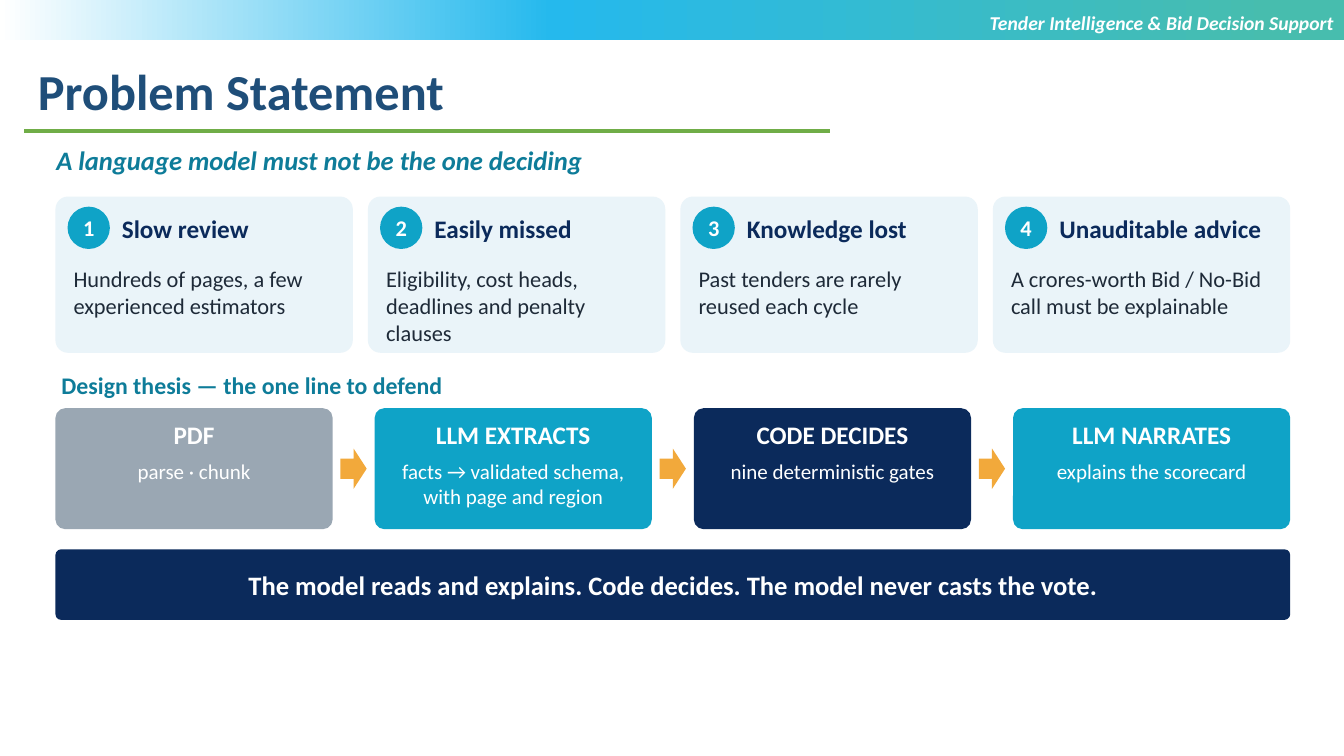
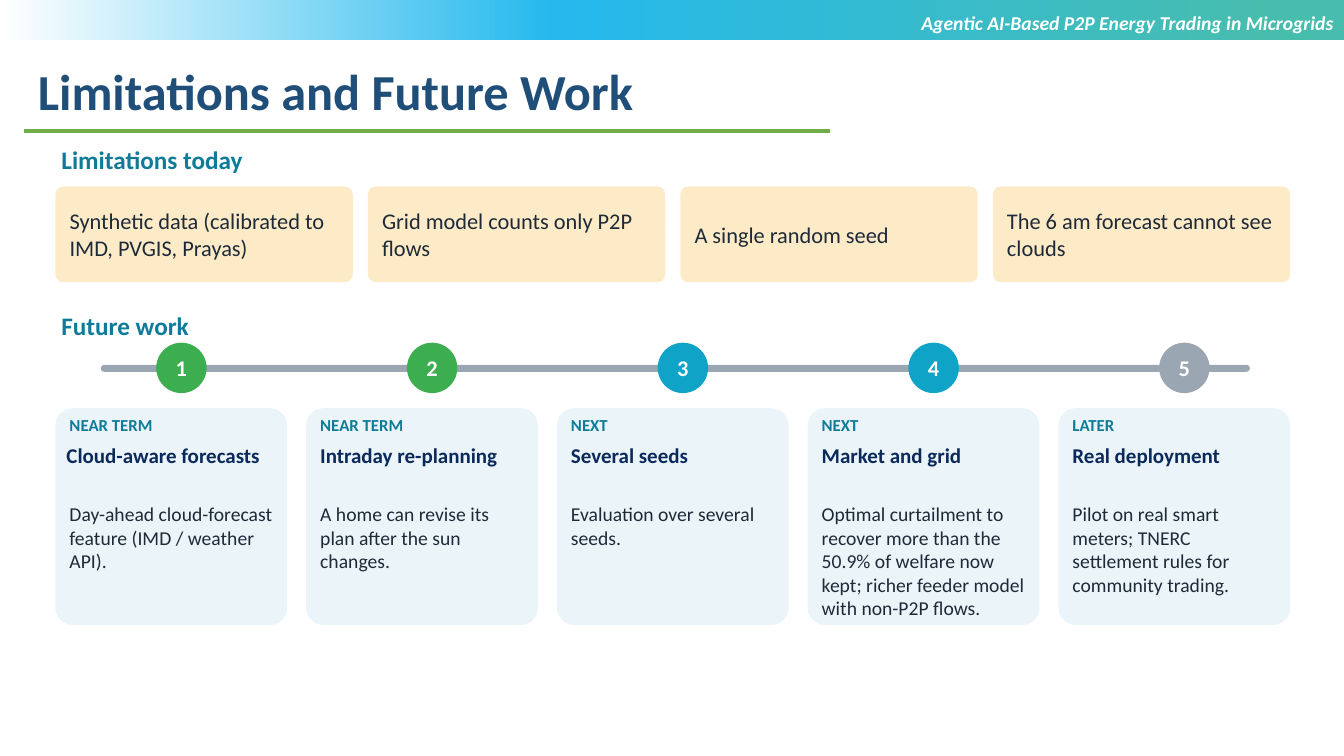
from copy import deepcopy

from lxml import etree
from pptx import Presentation
from pptx.dml.color import RGBColor
from pptx.enum import shapes, text
from pptx.oxml import ns
from pptx.util import Pt

SHAPE = shapes.MSO_SHAPE
LEFT, CENTER, RIGHT = text.PP_ALIGN.LEFT, text.PP_ALIGN.CENTER, text.PP_ALIGN.RIGHT
TOP, MIDDLE = text.MSO_ANCHOR.TOP, text.MSO_ANCHOR.MIDDLE


class Theme:
    """Colours, type styles (size, colour, bold, italic) and shared measures."""
    font = "Calibri"
    white, ink, navy = "FFFFFF", "1E2A38", "0B2A5B"
    blue, teal, cyan = "1F4E79", "0E7C99", "0FA3C7"
    green, rule, grey = "3DAE4F", "70AD47", "9AA7B3"
    amber, sand, mist = "F2A93B", "FDEBC8", "EAF4F9"
    band = ((0.05, "47BDAE"), (0.59, "25B9ED"), (1, "FFFFFF"))

    title = (36, blue, True, False)
    header = (14, white, True, True)
    lead = (19, teal, True, True)
    section = (18, teal, True, False)
    thesis = (17, teal, True, False)
    badge = (16, white, True, False)
    card_head = (18, navy, True, False)
    card_body = (16, ink, False, False)
    stage_head = (18, white, True, False)
    stage_body = (15, white, False, False)
    banner = (19, white, True, False)
    phase = (12, teal, True, False)
    step_head = (15, navy, True, False)
    step_body = (14, ink, False, False)

    width, height = 960, 540
    left, content = 39.6, 882
    corner = 0.08
    inset = (4.32, 2.16)


def rgb(code):
    return RGBColor.from_string(code)


def write(sp, words, style, align=LEFT, anchor=TOP, inset=Theme.inset):
    """Fill the text frame of a shape with one styled paragraph."""
    tf = sp.text_frame
    tf.word_wrap = True
    tf.vertical_anchor = anchor
    tf.margin_left = tf.margin_right = Pt(inset[0])
    tf.margin_top = tf.margin_bottom = Pt(inset[1])
    p = tf.paragraphs[0]
    p.alignment = align
    r = p.add_run()
    r.text = words
    size, color, r.font.bold, r.font.italic = style
    r.font.name = Theme.font
    r.font.size = Pt(size)
    r.font.color.rgb = rgb(color)


def label(s, box, words, style, **layout):
    write(s.shapes.add_textbox(*map(Pt, box)), words, style, **layout)


def block(s, kind, box, fill=None, corner=None):
    sp = s.shapes.add_shape(kind, *map(Pt, box))
    sp.shadow.inherit = False
    sp.line.fill.background()
    if fill:
        sp.fill.solid()
        sp.fill.fore_color.rgb = rgb(fill)
    if corner is not None:
        sp.adjustments[0] = corner
    return sp


def panel(s, box, fill):
    return block(s, SHAPE.ROUNDED_RECTANGLE, box, fill, Theme.corner)


def badge(s, x, y, size, number, fill):
    sp = block(s, SHAPE.OVAL, (x, y, size, size), fill)
    write(sp, str(number), Theme.badge, CENTER, MIDDLE, (0, 2.16))


def columns(box, count, width):
    """Boxes of one width, spread evenly from edge to edge."""
    x, y, w, h = box
    pitch = (w - width) / (count - 1)
    return [(x + i * pitch, y, width, h) for i in range(count)]


def frame(prs, title, header):
    """Start a slide with the band, title, rule and header line."""
    s = prs.slides.add_slide(prs.slide_layouts[6])
    # Gradient band
    band = block(s, SHAPE.RECTANGLE, (0, 0, Theme.width, 28.8))
    band.fill.gradient()
    stops = band._element.spPr.find(".//" + ns.qn("a:gsLst"))
    stops.append(deepcopy(stops[-1]))
    for stop, (position, color) in zip(band.fill.gradient_stops, Theme.band):
        stop.position = position
        stop.color.rgb = rgb(color)
    band.fill.gradient_angle = 180
    # Title and rule
    label(s, (20, 39.6, 837, 50.4), title, Theme.title, inset=(7.2, 3.6))
    rule = s.shapes.add_connector(shapes.MSO_CONNECTOR.STRAIGHT,
                                  *map(Pt, (17.3, 93.6, 592.6, 93.6)))
    rule.line.color.rgb = rgb(Theme.rule)
    rule.line.width = Pt(2.25)
    etree.SubElement(rule._element.spPr, ns.qn("a:effectLst"))
    # Header line
    label(s, (480, 4.3, 480, 45.4), header, Theme.header, align=RIGHT, inset=(7.2, 3.6))
    return s


def problem_cards(s, box, cards):
    for number, (card, (head, body)) in enumerate(zip(columns(box, len(cards), 212.4), cards), 1):
        x, y, w, h = card
        panel(s, card, Theme.mist)
        badge(s, x + 8.64, y + 7.2, 30.24, number, Theme.cyan)
        label(s, (x + 43.2, y + 9.4, 165.6, 26), head, Theme.card_head, anchor=MIDDLE)
        label(s, (x + 8.64, y + 46.8, 198, h - 49), body, Theme.card_body)


def flow(s, box, stages):
    boxes = columns(box, len(stages), 198)
    gap = boxes[1][0] - boxes[0][0] - 198
    arrow_w, arrow_h = 18.7, 28.8
    for i, ((x, y, w, h), (head, body, fill)) in enumerate(zip(boxes, stages)):
        if i:
            block(s, SHAPE.RIGHT_ARROW, (x - (gap + arrow_w) / 2, y + (h - arrow_h) / 2,
                                         arrow_w, arrow_h), Theme.amber)
        panel(s, (x, y, w, h), fill)
        label(s, (x + 6, y + 5.8, w - 12, 26), head, Theme.stage_head,
              align=CENTER, anchor=MIDDLE)
        label(s, (x + 6, y + 33.8, w - 12, 40), body, Theme.stage_body, align=CENTER)


def limitation_cards(s, box, limits):
    for card, words in zip(columns(box, len(limits), 212.4), limits):
        write(panel(s, card, Theme.sand), words, Theme.card_body,
              anchor=MIDDLE, inset=(8.5, 2.16))


def roadmap(s, box, steps):
    x, y, w, h = box
    # Track behind the numbered badges
    block(s, SHAPE.ROUNDED_RECTANGLE, (x + 32.4, y + 15.8, 820.8, 5), Theme.grey, 0.5)
    cards = columns((x, y + 46.8, w, h - 46.8), len(steps), 165.6)
    for number, (card, (phase, head, body, fill, pad)) in enumerate(zip(cards, steps), 1):
        cx, cy, cw, ch = card
        badge(s, cx + 72, y, 36, number, fill)
        panel(s, card, Theme.mist)
        tx, tw = cx + 5.76, cw - 11.52
        label(s, (tx, cy + 2.2, tw, 18.7), phase, Theme.phase)
        label(s, (tx, cy + 22.3, tw, 22.3), head, Theme.step_head, inset=(pad, 2.16))
        label(s, (tx, cy + 64.8, tw, ch - 64.8), body, Theme.step_body)


def problem_slide(prs):
    s = frame(prs, "Problem Statement", "Tender Intelligence & Bid Decision Support")
    x, w = Theme.left, Theme.content
    label(s, (36, 100.8, 885.6, 27.4), "A language model must not be the one deciding", Theme.lead)
    problem_cards(s, (x, 140.4, w, 111.6), [
        ("Slow review", "Hundreds of pages, a few experienced estimators"),
        ("Easily missed", "Eligibility, cost heads, deadlines and penalty clauses"),
        ("Knowledge lost", "Past tenders are rarely reused each cycle"),
        ("Unauditable advice", "A crores-worth Bid / No-Bid call must be explainable"),
    ])
    label(s, (x, 262.8, 432, 24.5), "Design thesis — the one line to defend", Theme.thesis)
    flow(s, (x, 291.6, w, 86.4), [
        ("PDF", "parse · chunk", Theme.grey),
        ("LLM EXTRACTS", "facts → validated schema, with page and region", Theme.cyan),
        ("CODE DECIDES", "nine deterministic gates", Theme.navy),
        ("LLM NARRATES", "explains the scorecard", Theme.cyan),
    ])
    # Closing banner
    write(panel(s, (x, 392.4, w, 50.4), Theme.navy),
          "The model reads and explains. Code decides. The model never casts the vote.",
          Theme.banner, CENTER, MIDDLE)


def outlook_slide(prs):
    s = frame(prs, "Limitations and Future Work",
              "Agentic AI-Based P2P Energy Trading in Microgrids")
    x, w = Theme.left, Theme.content
    label(s, (x, 100.8, 432, 26), "Limitations today", Theme.section)
    limitation_cards(s, (x, 133.2, w, 68.4), [
        "Synthetic data (calibrated to IMD, PVGIS, Prayas)",
        "Grid model counts only P2P flows",
        "A single random seed",
        "The 6 am forecast cannot see clouds",
    ])
    label(s, (x, 219.6, 432, 26), "Future work", Theme.section)
    pad, tight = Theme.inset
    roadmap(s, (x, 244.8, w, 201.6), [
        ("NEAR TERM", "Cloud-aware forecasts",
         "Day-ahead cloud-forecast feature (IMD / weather API).", Theme.green, tight),
        ("NEAR TERM", "Intraday re-planning",
         "A home can revise its plan after the sun changes.", Theme.green, pad),
        ("NEXT", "Several seeds", "Evaluation over several seeds.", Theme.cyan, pad),
        ("NEXT", "Market and grid",
         "Optimal curtailment to recover more than the 50.9% of welfare now kept; "
         "richer feeder model with non-P2P flows.", Theme.cyan, pad),
        ("LATER", "Real deployment",
         "Pilot on real smart meters; TNERC settlement rules for community trading.",
         Theme.grey, pad),
    ])


def main():
    prs = Presentation()
    prs.slide_width, prs.slide_height = Pt(Theme.width), Pt(Theme.height)
    problem_slide(prs)
    outlook_slide(prs)
    prs.save("out.pptx")


if __name__ == "__main__":
    main()
